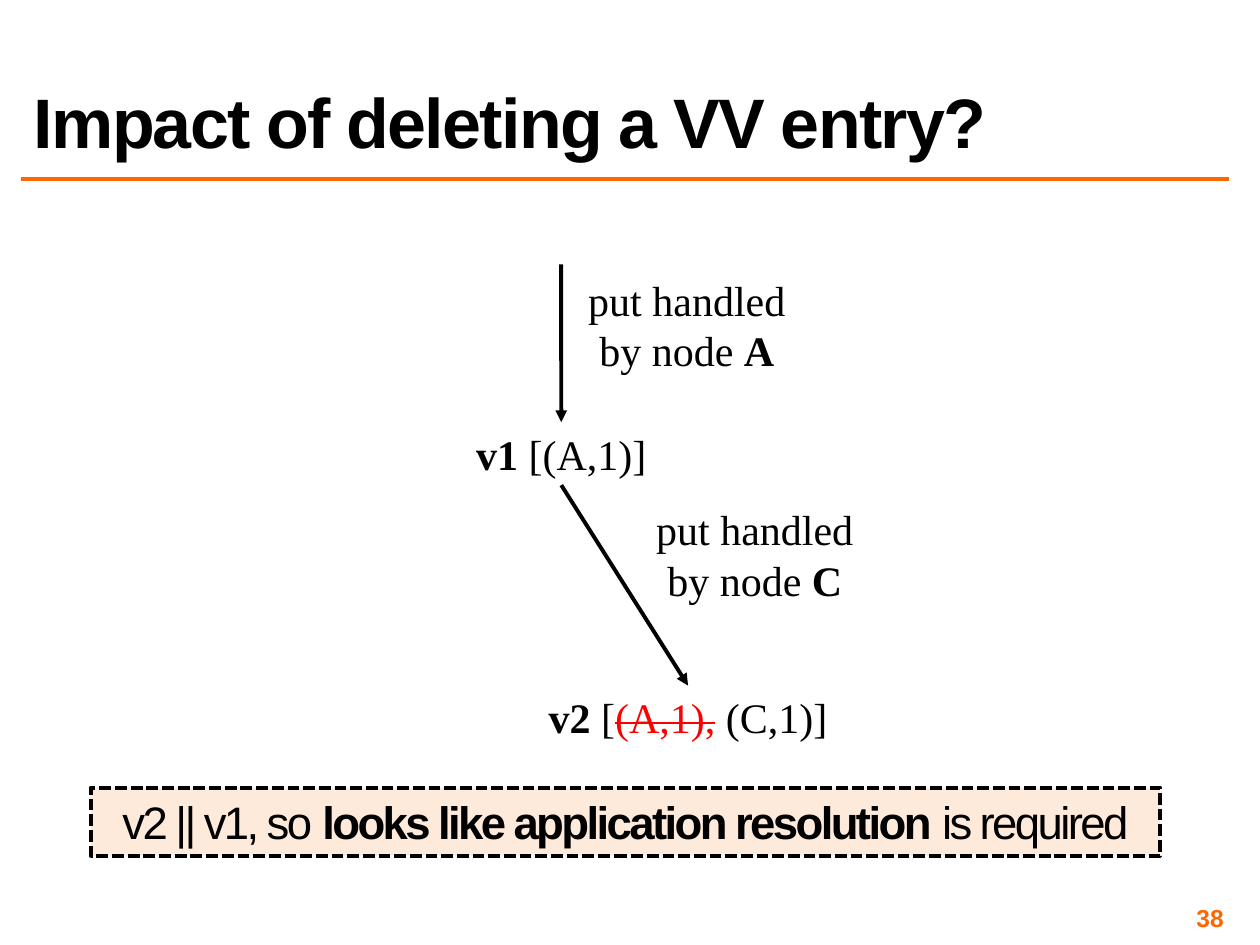
from dataclasses import dataclass
from typing import Any

from lxml import etree
from pptx import Presentation
from pptx.dml.color import RGBColor
from pptx.enum.dml import MSO_LINE
from pptx.enum.shapes import MSO_CONNECTOR, MSO_SHAPE
from pptx.enum.text import MSO_ANCHOR, MSO_AUTO_SIZE, PP_ALIGN
from pptx.oxml.ns import qn
from pptx.util import Cm, Pt

BLACK = RGBColor(0x00, 0x00, 0x00)
RED = RGBColor(0xFF, 0x00, 0x00)
ORANGE = RGBColor(0xFF, 0x66, 0x00)
PEACH = RGBColor(0xFD, 0xEA, 0xDA)

LEFT, CENTER, RIGHT = PP_ALIGN.LEFT, PP_ALIGN.CENTER, PP_ALIGN.RIGHT
TOP, MIDDLE, BOTTOM = MSO_ANCHOR.TOP, MSO_ANCHOR.MIDDLE, MSO_ANCHOR.BOTTOM
FIXED, GROW = MSO_AUTO_SIZE.NONE, MSO_AUTO_SIZE.SHAPE_TO_FIT_TEXT
STRAIGHT, RECTANGLE = MSO_CONNECTOR.STRAIGHT, MSO_SHAPE.RECTANGLE
DASHED = MSO_LINE.SQUARE_DOT
TOP_SIDE, BOTTOM_SIDE = 0, 2
TITLE_ONLY = 5


def add_span(para, text, font="Times New Roman", size=24, color=BLACK,
             bold=False, strike=False, spacing=0):
    span = para.add_run()
    span.text = text
    span.font.name = font
    span.font.size = Pt(size)
    span.font.bold = bold
    span.font.color.rgb = color
    properties = span.font._element
    if strike:
        properties.set("strike", "sngStrike")
    if spacing:
        properties.set("spc", str(round(spacing * 100)))


@dataclass
class SlideWriter:
    page: Any
    line_color: RGBColor = BLACK
    line_width: float = 2.25

    def fill_text(self, box, spans, align=CENTER, anchor=TOP, fit=GROW, **style):
        frame = box.text_frame
        frame.word_wrap = True
        frame.auto_size = fit
        frame.vertical_anchor = anchor
        para = frame.paragraphs[0]
        para.alignment = align
        for text, changes in spans:
            add_span(para, text, **{**style, **changes})
        return para

    def title(self, text, left, top, width, height):
        box = self.page.shapes.title
        box.left, box.top, box.width, box.height = map(Cm, (left, top, width, height))
        para = self.fill_text(box, [(text, {})], LEFT, BOTTOM, FIXED,
                              font="Arial", size=40, bold=True, spacing=-1)
        para.line_spacing = 0.8

    def label(self, spans, left, top, width, height, **style):
        box = self.page.shapes.add_textbox(*map(Cm, (left, top, width, height)))
        self.fill_text(box, spans, **style)
        return box

    def page_number(self, text, left, top, width, height):
        box = self.label([(text, {})], left, top, width, height, align=RIGHT,
                         anchor=MIDDLE, fit=FIXED, font="Arial", size=14,
                         color=ORANGE, bold=True)
        frame = box.text_frame
        frame.margin_left = frame.margin_right = Cm(0.1)
        frame.margin_top = frame.margin_bottom = Cm(0.1)

    def callout(self, spans, left, top, width, height, **style):
        box = self.page.shapes.add_shape(RECTANGLE, *map(Cm, (left, top, width, height)))
        box.shadow.inherit = False
        box.fill.solid()
        box.fill.fore_color.rgb = PEACH
        box.line.color.rgb = self.line_color
        box.line.width = Pt(self.line_width)
        box.line.dash_style = DASHED
        self.fill_text(box, spans, **style)

    def line(self, start, end, color=None, width=None):
        connector = self.page.shapes.add_connector(STRAIGHT, *map(Cm, (*start, *end)))
        connector.line.color.rgb = color or self.line_color
        connector.line.width = Pt(width or self.line_width)
        etree.SubElement(connector._element.spPr, qn("a:effectLst"))
        return connector

    def arrow(self, start, end, source=None, target=None):
        connector = self.line(start, end)
        if source is not None:
            connector.begin_connect(source, BOTTOM_SIDE)
        if target is not None:
            connector.end_connect(target, TOP_SIDE)
        outline = connector.line._get_or_add_ln()
        etree.SubElement(outline, qn("a:tailEnd"), type="triangle")


def main():
    deck = Presentation()
    deck.slide_width, deck.slide_height = Cm(25.4), Cm(19.05)
    page = deck.slides.add_slide(deck.slide_layouts[TITLE_ONLY])
    writer = SlideWriter(page)
    bold = {"bold": True}

    writer.line((0.43, 3.61), (24.77, 3.61), ORANGE, 2)
    writer.page_number("38", 18.85, 18.21, 5.92, 0.58)
    writer.title("Impact of deleting a VV entry?", 0.43, 0.43, 24.33, 2.97)

    first = writer.label([("v1", bold), (" [(A,1)]", {})], 9.09, 8.51, 4.45, 1.27)
    second = writer.label(
        [("v2", bold), (" [", {}), ("(A,1),", {"color": RED, "strike": True}),
         (" (C,1)]", {})],
        10.01, 13.82, 7.72, 1.27)

    writer.arrow((11.31, 5.33), (11.31, 8.51), target=first)
    writer.arrow((11.31, 9.78), (13.87, 13.82), source=first, target=second)
    for node, left, top in (("A", 11.33, 5.41), ("C", 12.7, 10.03)):
        writer.label([("put handled by node ", {}), (node, bold)], left, top, 5.03, 2.31)

    writer.callout(
        [("v2 || v1, so ", {}), ("looks like application resolution ", bold),
         ("is required", {})],
        1.83, 15.88, 21.56, 1.37, font="Arial", size=26, spacing=-1.5)

    deck.save("out.pptx")


if __name__ == "__main__":
    main()
